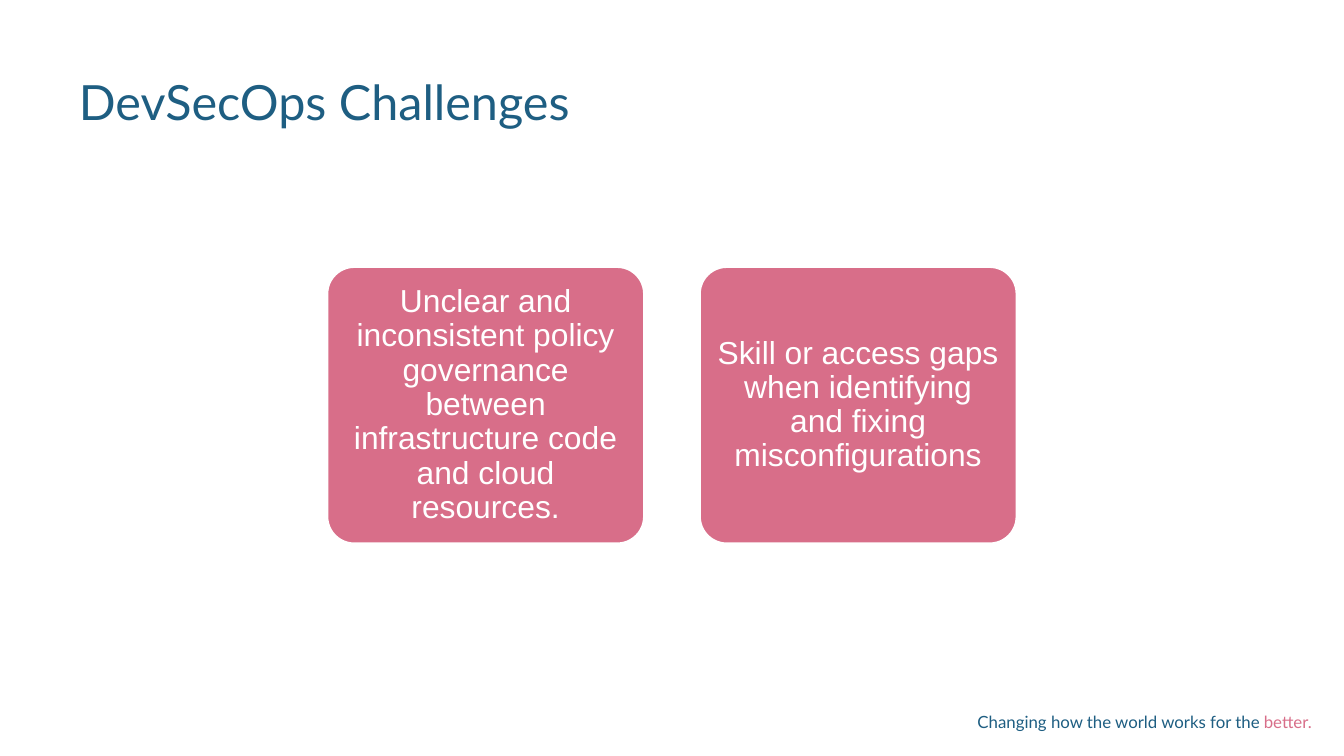
"""Build the DevSecOps Challenges slide with two challenge cards."""
from dataclasses import dataclass

import pptx
import pptx.dml.color
import pptx.enum.shapes
import pptx.enum.text
import pptx.slide
import pptx.text.text
import pptx.util

Cm = pptx.util.Cm
Pt = pptx.util.Pt
ALIGN = pptx.enum.text.PP_ALIGN
ANCHOR = pptx.enum.text.MSO_ANCHOR

COLOURS = {"white": "FFFFFF", "blue": "1E5E82", "rose": "D86E89"}

CARD_LEFT, CARD_TOP = 6.17, 5.03
CARD_WIDTH, CARD_HEIGHT = 6.02, 5.26
CARD_PITCH = 7.04

CHALLENGES = (
    "Unclear and inconsistent policy governance between infrastructure code and cloud resources.",
    "Skill or access gaps when identifying and fixing misconfigurations",
)


@dataclass(frozen=True)
class Phrase:
    """A stretch of text in one style."""

    text: str
    size: float
    font: str
    colour: str


@dataclass(frozen=True)
class Area:
    """A place on the slide in centimetres."""

    left: float
    top: float
    width: float
    height: float

    def lengths(self) -> tuple[Cm, Cm, Cm, Cm]:
        """Return the place as slide lengths."""
        return Cm(self.left), Cm(self.top), Cm(self.width), Cm(self.height)


def rgb(colour: str) -> pptx.dml.color.RGBColor:
    """Look up a named colour."""
    return pptx.dml.color.RGBColor.from_string(COLOURS[colour])


def write(
    frame: pptx.text.text.TextFrame,
    phrases: tuple[Phrase, ...],
    align: ALIGN,
    anchor: ANCHOR,
    inset: float,
    spacing: float,
) -> None:
    """Fill a text frame with one paragraph of phrases."""
    frame.word_wrap = True
    frame.vertical_anchor = anchor
    frame.margin_left = frame.margin_right = Cm(inset)
    frame.margin_top = frame.margin_bottom = Cm(inset)
    paragraph = frame.paragraphs[0]
    paragraph.alignment = align
    paragraph.line_spacing = spacing
    for phrase in phrases:
        run = paragraph.add_run()
        run.text = phrase.text
        run.font.size = Pt(phrase.size)
        run.font.name = phrase.font
        run.font.color.rgb = rgb(phrase.colour)


def draw_text(
    slide: pptx.slide.Slide,
    area: Area,
    phrases: tuple[Phrase, ...],
    align: ALIGN,
    inset: float,
    spacing: float,
) -> None:
    """Draw a top-anchored text box."""
    box = slide.shapes.add_textbox(*area.lengths())
    write(box.text_frame, phrases, align, ANCHOR.TOP, inset, spacing)


def draw_card(slide: pptx.slide.Slide, area: Area, challenge: str) -> None:
    """Draw a rounded card holding one challenge."""
    card = slide.shapes.add_shape(
        pptx.enum.shapes.MSO_SHAPE.ROUNDED_RECTANGLE, *area.lengths()
    )
    card.adjustments[0] = 0.1
    card.shadow.inherit = False
    card.fill.solid()
    card.fill.fore_color.rgb = rgb("rose")
    card.line.color.rgb = rgb("white")
    card.line.width = Pt(2)
    phrases = (Phrase(challenge, 17, "Arial", "white"),)
    write(card.text_frame, phrases, ALIGN.CENTER, ANCHOR.MIDDLE, 0.18, 0.9)


def main() -> None:
    """Build and save the slide."""
    deck = pptx.Presentation()
    deck.slide_width, deck.slide_height = Cm(25.4), Cm(14.29)
    slide = deck.slides.add_slide(deck.slide_layouts[6])

    tagline = (
        Phrase("Changing how the world works for the ", 9, "Lato", "blue"),
        Phrase("better.", 9, "Lato", "rose"),
    )
    draw_text(slide, Area(18.06, 13.46, 6.73, 0.43), tagline, ALIGN.RIGHT, 0, 1.0)

    title = (Phrase("DevSecOps Challenges", 26, "Lato", "blue"),)
    draw_text(slide, Area(1.24, 1.24, 22.91, 1.24), title, ALIGN.LEFT, 0.25, 0.9)

    for index, challenge in enumerate(CHALLENGES):
        left = CARD_LEFT + index * CARD_PITCH
        draw_card(slide, Area(left, CARD_TOP, CARD_WIDTH, CARD_HEIGHT), challenge)

    deck.save("out.pptx")


if __name__ == "__main__":
    main()
